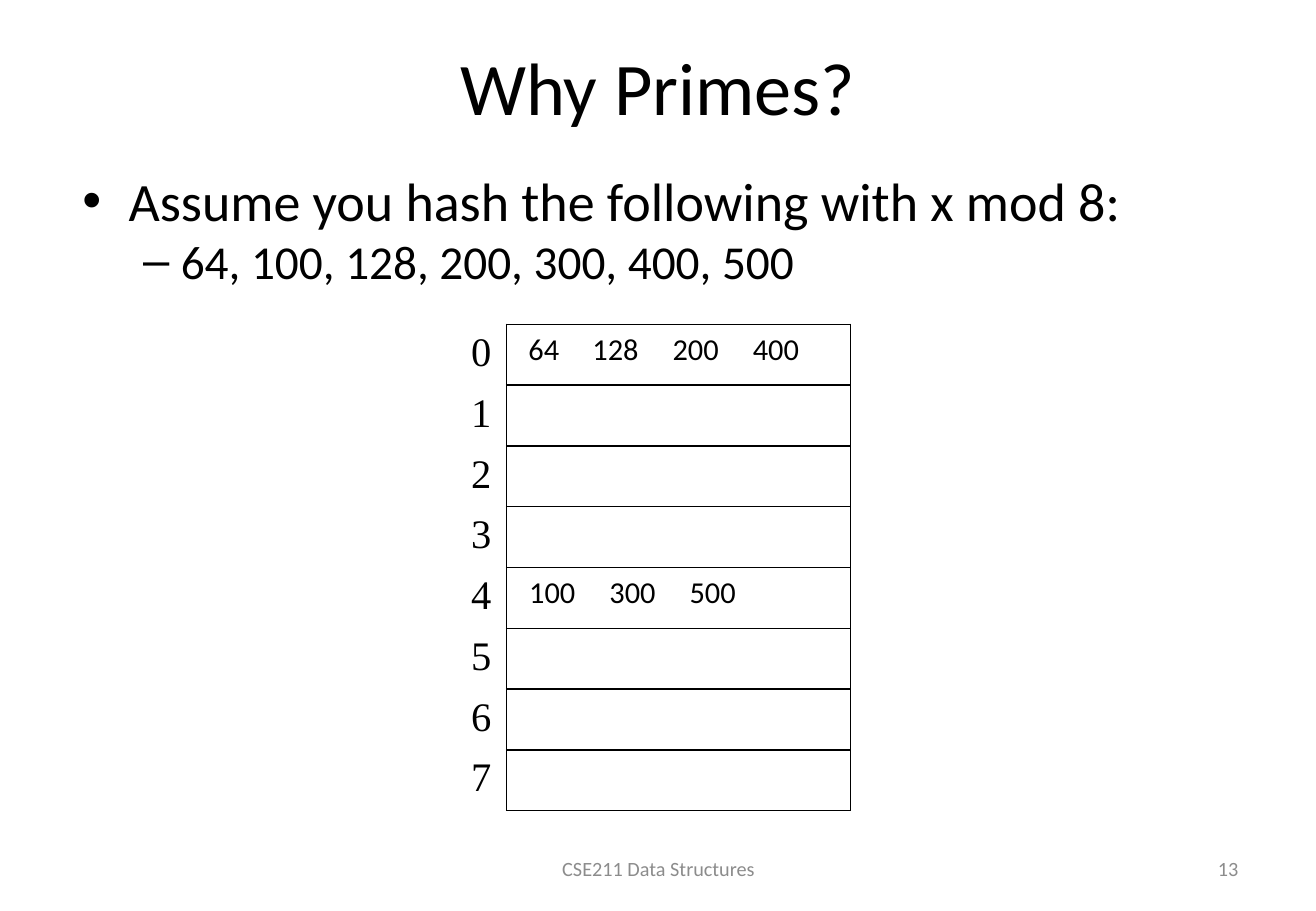
from lxml import etree
from pptx import Presentation
from pptx import util as u
from pptx.dml.color import RGBColor
from pptx.enum.text import MSO_ANCHOR, MSO_AUTO_SIZE, PP_ALIGN
from pptx.oxml.ns import qn

BLACK, GREY = "000000", "8C8C8C"
KEYS = [64, 100, 128, 200, 300, 400, 500]
BUCKETS = 8
ROW_H, INDEX_W, KEY_GAP = 0.5, 0.42, 0.07


def rgb(value):
    return RGBColor.from_string(value)


def add_run(p, content, size, color=BLACK, font="Calibri"):
    r = p.add_run()
    r.text = content
    r.font.size = u.Pt(size)
    r.font.name = font
    r.font.color.rgb = rgb(color)


def add_box(s, box, anchor=MSO_ANCHOR.TOP, wrap=True):
    tf = s.shapes.add_textbox(*map(u.Inches, box)).text_frame
    tf.word_wrap = wrap
    tf.vertical_anchor = anchor
    return tf


def add_line(s, box, content, size, align, color=BLACK):
    """Place one line of text, centred vertically in its box."""
    p = add_box(s, box, MSO_ANCHOR.MIDDLE).paragraphs[0]
    p.alignment = align
    add_run(p, content, size, color)


def set_bullet(p, char, left, hanging):
    pPr = p._p.get_or_add_pPr()
    pPr.set("marL", str(u.Inches(left)))
    pPr.set("indent", str(-u.Inches(hanging)))
    etree.SubElement(pPr, qn("a:buFont"), typeface="Arial")
    etree.SubElement(pPr, qn("a:buChar"), char=char)


def add_body(s, box):
    tf = add_box(s, box)
    p = tf.paragraphs[0]
    set_bullet(p, "•", 0.38, 0.38)
    add_run(p, f"Assume you hash the following with x mod {BUCKETS}:", 32)
    p = tf.add_paragraph()
    p.level = 1
    set_bullet(p, "–", 0.81, 0.31)
    add_run(p, ", ".join(map(str, KEYS)), 28)


def set_borders(cell, sides):
    """Draw the named sides in black and hide the others."""
    tcPr = cell._tc.get_or_add_tcPr()
    for i, side in enumerate("LRTB"):
        ln = etree.Element(qn(f"a:ln{side}"), w=str(u.Pt(1)))
        if side in sides:
            fill = etree.SubElement(ln, qn("a:solidFill"))
            etree.SubElement(fill, qn("a:srgbClr"), val=BLACK)
        else:
            etree.SubElement(ln, qn("a:noFill"))
        tcPr.insert(i, ln)


def add_bucket_table(s, left, top, width):
    frame = s.shapes.add_table(BUCKETS, 2, *map(
        u.Inches, (left, top, width, BUCKETS * ROW_H)))
    table = frame.table
    table.first_row = table.horz_banding = False
    table.columns[0].width = u.Inches(INDEX_W)
    table.columns[1].width = u.Inches(width - INDEX_W)
    for i, row in enumerate(table.rows):
        row.height = u.Inches(ROW_H)
        for cell, sides in zip(row.cells, ("R", "LRTB")):
            cell.fill.background()
            set_borders(cell, sides)
        p = row.cells[0].text_frame.paragraphs[0]
        p.alignment = PP_ALIGN.CENTER
        add_run(p, str(i), 24, font="Times New Roman")


def add_keys(s, left, top):
    """Line up the keys of each bucket from left to right."""
    next_left = [left] * BUCKETS
    for key in KEYS:
        i = key % BUCKETS
        width = 0.17 + 0.14 * len(str(key))
        tf = add_box(s, (next_left[i], top + i * ROW_H, width, 0.4), wrap=False)
        tf.auto_size = MSO_AUTO_SIZE.SHAPE_TO_FIT_TEXT
        p = tf.paragraphs[0]
        p.alignment = PP_ALIGN.CENTER
        add_run(p, str(key), 18)
        next_left[i] += width + KEY_GAP


def add_hash_table(s, left, top, width):
    add_bucket_table(s, left, top, width)
    add_keys(s, left + 0.5, top)


def add_footer(s, top, height):
    add_line(s, (3.42, top, 4, height), "CSE211 Data Structures", 12,
             PP_ALIGN.CENTER, GREY)
    add_line(s, (7.76, top, 2.53, height), "13", 12, PP_ALIGN.RIGHT, GREY)


def main():
    prs = Presentation()
    prs.slide_width, prs.slide_height = u.Inches(10.83), u.Inches(7.5)
    s = prs.slides.add_slide(prs.slide_layouts[6])
    add_line(s, (0.54, 0.25, 9.75, 0.92), "Why Primes?", 44, PP_ALIGN.CENTER)
    add_body(s, (0.58, 1.33, 9.75, 1.25))
    add_footer(s, 6.95, 0.4)
    add_hash_table(s, 3.75, 2.67, 3.25)
    prs.save("out.pptx")


if __name__ == "__main__":
    main()
